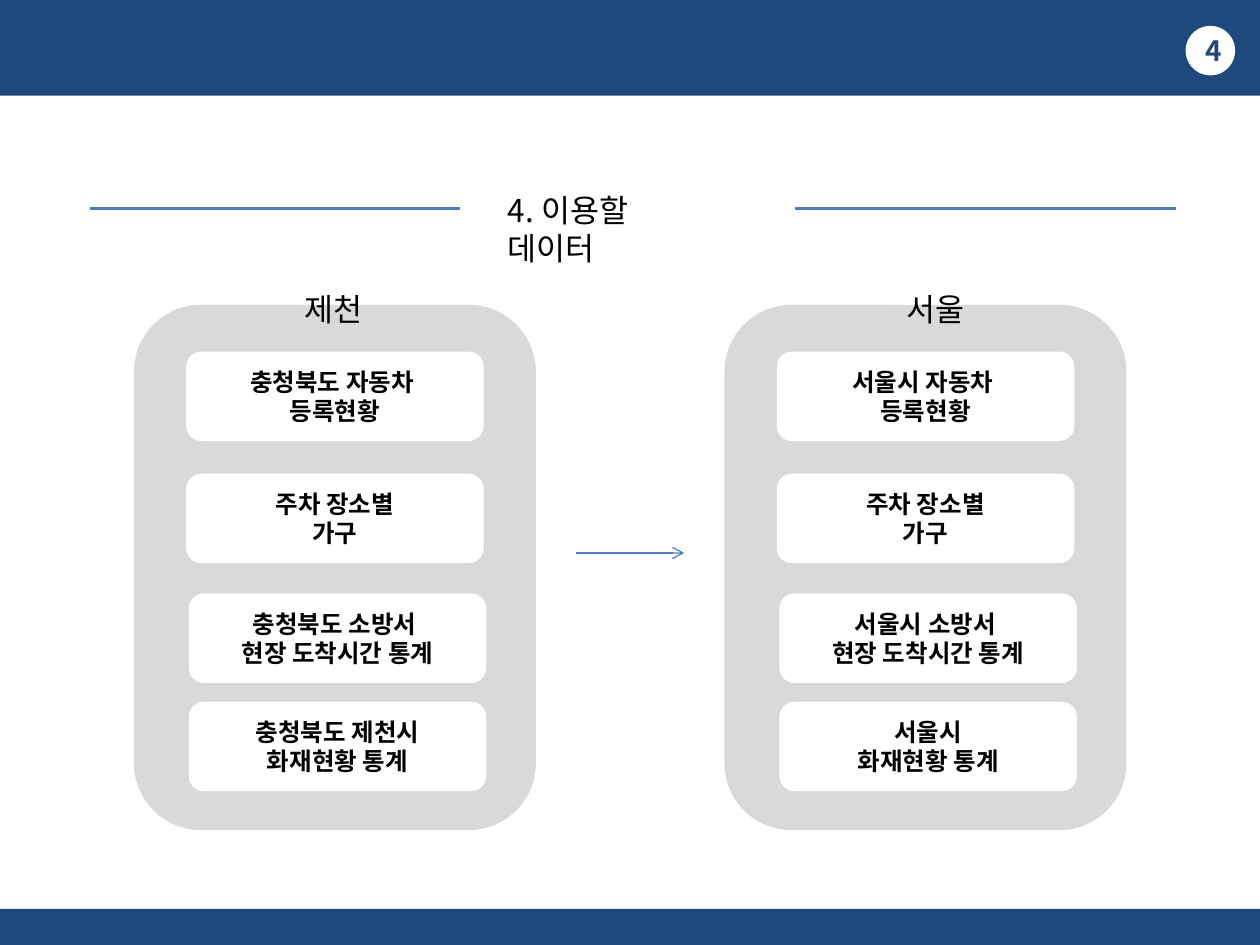
from dataclasses import dataclass

from lxml import etree
from pptx import Presentation
from pptx.dml.color import RGBColor
from pptx.enum import shapes, text
from pptx.oxml.ns import qn
from pptx.util import Pt


@dataclass(frozen=True)
class Theme:
    navy: str = "1F497D"
    line: str = "4B7EBC"
    panel: str = "D9D9D9"
    white: str = "FFFFFF"
    black: str = "000000"
    font: str = "Noto Sans CJK KR"
    number_font: str = "Noto Sans CJK JP"
    heading_size: float = 18
    number_size: float = 16
    card_size: float = 14
    leading: float = 1.2


@dataclass(frozen=True)
class Box:
    left: float
    top: float
    width: float
    height: float

    def lengths(self):
        return Pt(self.left), Pt(self.top), Pt(self.width), Pt(self.height)


@dataclass(frozen=True)
class Region:
    name: str
    left: float
    name_left: float
    cards: tuple


THEME = Theme()
SHAPE = shapes.MSO_SHAPE
SLIDE_WIDTH, SLIDE_HEIGHT = 720, 540
PANEL_TOP, PANEL_WIDTH, PANEL_HEIGHT = 174.2, 229.7, 300.2
CARD_WIDTH, CARD_HEIGHT = 170, 51.1
# Each card's inset from the panel's left edge, and its top
CARD_PLACES = ((29.9, 200.9), (29.9, 270.7), (31.4, 339.1), (31.4, 401))

REGIONS = (
    Region("제천", 76.5, 167, (
        "충청북도 자동차 \n등록현황",
        "주차 장소별\n가구",
        "충청북도 소방서 \n현장 도착시간 통계",
        "충청북도 제천시\n화재현황 통계",
    )),
    Region("서울", 414, 510.8, (
        "서울시 자동차 \n등록현황",
        "주차 장소별\n가구",
        "서울시 소방서 \n현장 도착시간 통계",
        "서울시\n화재현황 통계",
    )),
)


def write(shape, content: str, *, size: float, font: str = THEME.font,
          color: str = THEME.black, bold: bool = False, wrap: bool = True,
          align=text.PP_ALIGN.LEFT, anchor=text.MSO_ANCHOR.TOP) -> None:
    """Fill a shape with text, one paragraph per line."""
    frame = shape.text_frame
    frame.text = content
    frame.word_wrap = wrap
    frame.auto_size = text.MSO_AUTO_SIZE.NONE
    frame.vertical_anchor = anchor
    for paragraph in frame.paragraphs:
        paragraph.alignment = align
        paragraph.line_spacing = Pt(size * THEME.leading)
        for run in paragraph.runs:
            run.font.size = Pt(size)
            run.font.bold = bold
            run.font.name = font
            run.font.color.rgb = RGBColor.from_string(color)
            # Hangul takes the East Asian typeface
            east_asian = etree.Element(qn("a:ea"), typeface=font)
            run.font._element.find(qn("a:latin")).addnext(east_asian)


def add_block(slide, kind, box: Box, fill: str):
    shape = slide.shapes.add_shape(kind, *box.lengths())
    shape.shadow.inherit = False
    shape.fill.solid()
    shape.fill.fore_color.rgb = RGBColor.from_string(fill)
    shape.line.fill.background()
    return shape


def add_rule(slide, start: float, end: float, y: float, width: float,
             arrow: bool = False) -> None:
    connector = slide.shapes.add_connector(
        shapes.MSO_CONNECTOR.STRAIGHT, Pt(start), Pt(y), Pt(end), Pt(y))
    connector.line.width = Pt(width)
    connector.line.color.rgb = RGBColor.from_string(THEME.line)
    if arrow:
        etree.SubElement(connector.line._get_or_add_ln(), qn("a:tailEnd"), type="arrow")
    etree.SubElement(connector._element.spPr, qn("a:effectLst"))


def add_region(slide, region: Region) -> None:
    add_block(slide, SHAPE.ROUNDED_RECTANGLE,
              Box(region.left, PANEL_TOP, PANEL_WIDTH, PANEL_HEIGHT), THEME.panel)
    label = slide.shapes.add_textbox(*Box(region.name_left, 162, 47.5, 28.8).lengths())
    write(label, region.name, size=THEME.heading_size, wrap=False)
    for content, (inset, top) in zip(region.cards, CARD_PLACES):
        card = add_block(slide, SHAPE.ROUNDED_RECTANGLE,
                         Box(region.left + inset, top, CARD_WIDTH, CARD_HEIGHT), THEME.white)
        write(card, content, size=THEME.card_size, bold=True,
              align=text.PP_ALIGN.CENTER, anchor=text.MSO_ANCHOR.MIDDLE)


def main() -> None:
    presentation = Presentation()
    presentation.slide_width, presentation.slide_height = Pt(SLIDE_WIDTH), Pt(SLIDE_HEIGHT)
    slide = presentation.slides.add_slide(presentation.slide_layouts[5])

    # Header and footer bars, page number
    add_block(slide, SHAPE.RECTANGLE, Box(0, 0, SLIDE_WIDTH, 54.7), THEME.navy)
    badge = add_block(slide, SHAPE.OVAL, Box(677.5, 14.8, 28.3, 28.3), THEME.white)
    write(badge, "4", size=THEME.number_size, font=THEME.number_font, color=THEME.navy,
          bold=True, align=text.PP_ALIGN.CENTER, anchor=text.MSO_ANCHOR.MIDDLE)
    add_block(slide, SHAPE.RECTANGLE, Box(-2.9, 519.4, SLIDE_WIDTH + 2.9, 20.6), THEME.navy)

    # Title between two rules
    title = slide.shapes.title
    title.left, title.top, title.width, title.height = Box(283, 105.8, 130, 28.8).lengths()
    write(title, "4. 이용할 데이터", size=THEME.heading_size)
    add_rule(slide, 51.4, 262.8, 119.3, 1.5)
    add_rule(slide, 454.3, 671.8, 119.3, 1.5)

    # The two regions and the arrow between them
    for region in REGIONS:
        add_region(slide, region)
    add_rule(slide, 329, 391, 316, 0.75, arrow=True)

    presentation.save("out.pptx")


if __name__ == "__main__":
    main()
